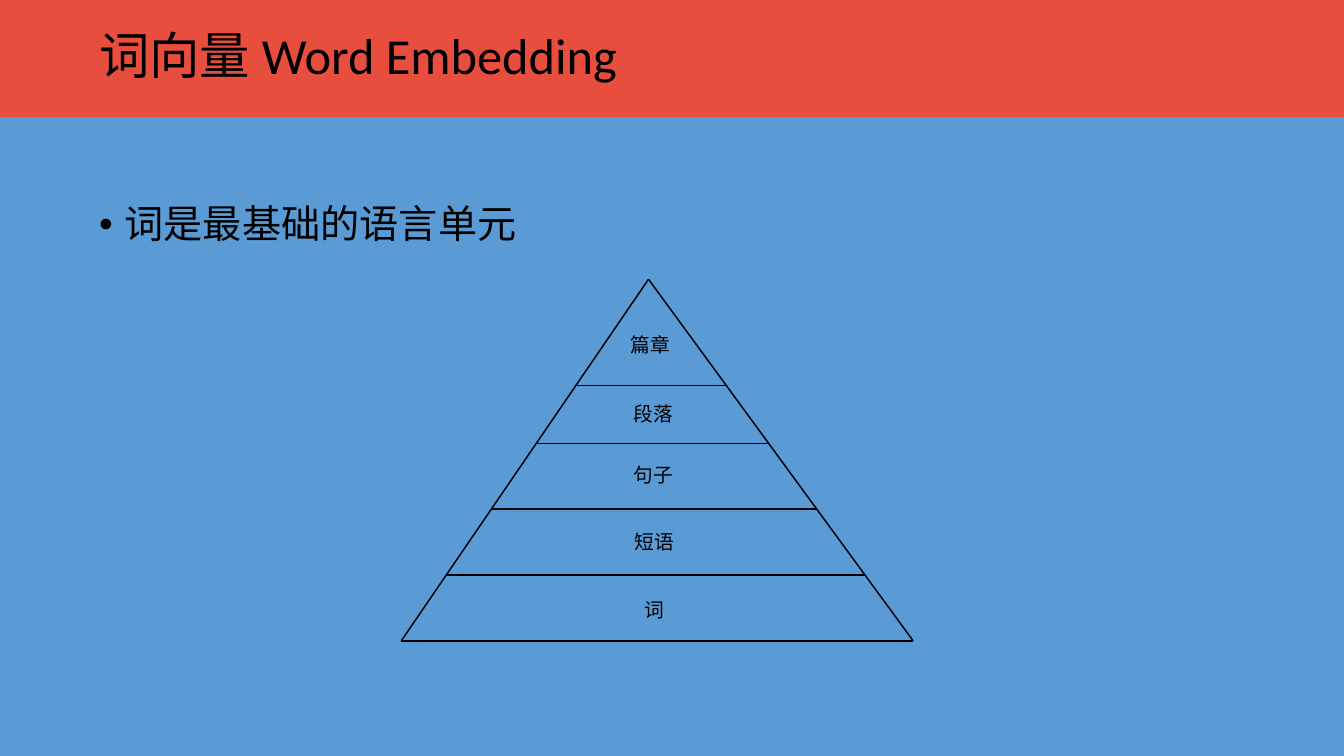
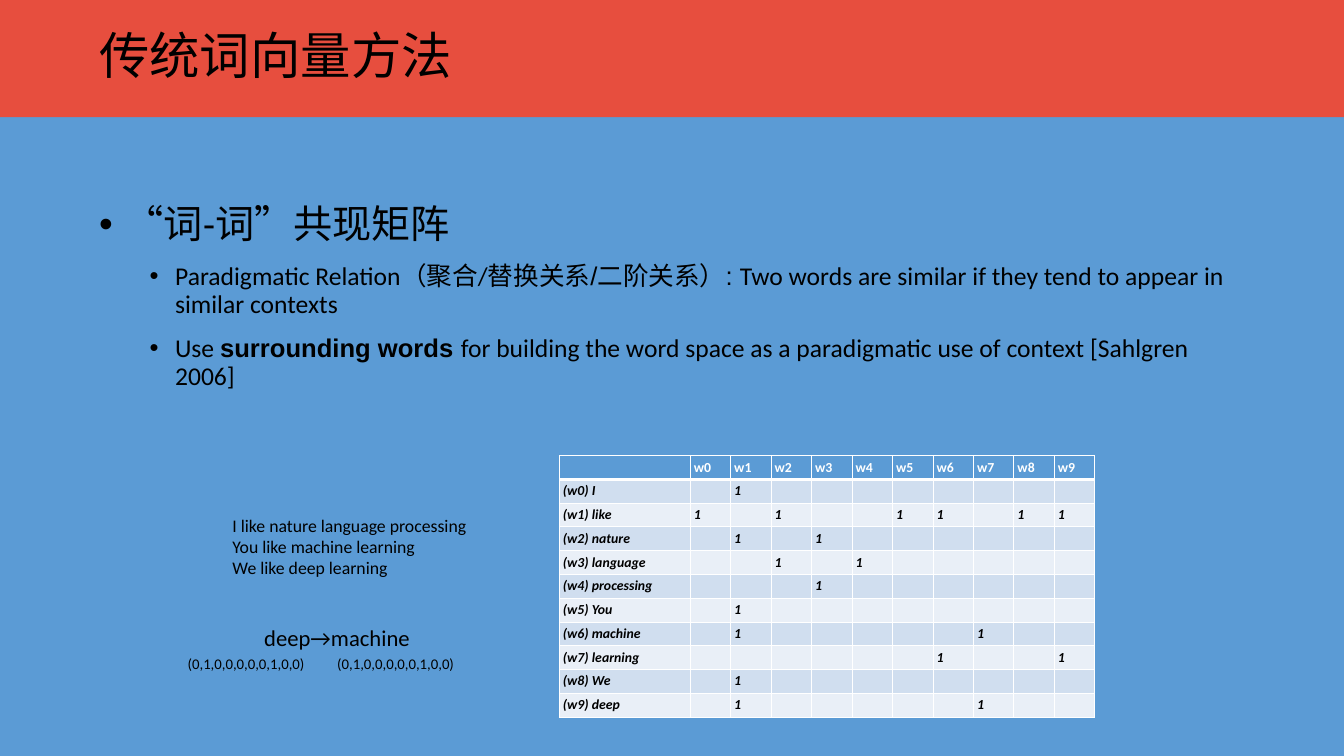
import dataclasses
import typing

import lxml.etree
import pptx
import pptx.dml.color
import pptx.enum.shapes
import pptx.enum.text
import pptx.oxml.ns
import pptx.presentation
import pptx.slide
import pptx.table
import pptx.text.text
import pptx.util

Cm = pptx.util.Cm
Pt = pptx.util.Pt
RGBColor = pptx.dml.color.RGBColor
PP_ALIGN = pptx.enum.text.PP_ALIGN
MSO_ANCHOR = pptx.enum.text.MSO_ANCHOR
MSO_AUTO_SIZE = pptx.enum.text.MSO_AUTO_SIZE
qn = pptx.oxml.ns.qn

BLUE = RGBColor(0x5B, 0x9B, 0xD5)
RED = RGBColor(0xE7, 0x4E, 0x3E)
BLACK = RGBColor(0, 0, 0)
WHITE = RGBColor(0xFF, 0xFF, 0xFF)
BAND_DARK = RGBColor(0xD0, 0xDE, 0xEF)
BAND_LIGHT = RGBColor(0xE9, 0xEF, 0xF7)

SLIDE_W, SLIDE_H = 48.16, 27.1
BAND_H = 4.2
TITLE_BOX = (3.3, 0.36, 41.55, 3.48)
BODY_BOX = (3.3, 7.21, 41.55, 17.2)

Format = dict[str, typing.Any]
BASE: Format = {"name": "Calibri", "color": BLACK, "bold": False}
TITLE = BASE | {"size": Pt(51.2)}
BULLET = BASE | {"size": Pt(39.8)}
SUB_BULLET = BASE | {"size": Pt(26)}
TIER_LABEL = BASE | {"size": Pt(20)}
CELL = BASE | {"size": Pt(14), "bold": True, "italic": True}
HEADER_CELL = CELL | {"color": WHITE, "italic": False}
CELL_MARGINS = {"left": 0.13, "top": 0.12, "right": 0.13, "bottom": 0.13}


@dataclasses.dataclass(frozen=True)
class Run:
    text: str
    changes: Format = dataclasses.field(default_factory=dict)


@dataclasses.dataclass(frozen=True)
class Bullet:
    runs: list[Run]
    level: int = 0


@dataclasses.dataclass(frozen=True)
class Tier:
    """One layer of the pyramid: its lower edge and the centre of its label."""
    label: str
    base: float
    x: float
    y: float


@dataclasses.dataclass(frozen=True)
class Caption:
    lines: list[str]
    box: tuple[float, float, float, float]
    size: float
    inset: float = 0.15
    centred: bool = True


APEX = (23.24, 10.01)
BASE_LEFT, BASE_RIGHT = 14.38, 32.72
TIERS = [
    Tier("篇章", 13.82, 23.3, 12.34),
    Tier("段落", 15.9, 23.42, 14.83),
    Tier("句子", 18.24, 23.42, 17.02),
    Tier("短语", 20.61, 23.45, 19.41),
    Tier("词", 22.97, 23.44, 21.87),
]

SENTENCES = [
    "I like nature language processing",
    "You like machine learning",
    "We like deep learning",
]
VECTOR = "(0,1,0,0,0,0,0,1,0,0)"
CAPTIONS = [
    Caption(SENTENCES, (8.2, 18.32, 10.26, 2.57), 18, 0.13, centred=False),
    Caption(["deep→machine"], (9.3, 22.2, 5.56, 1.27), 23),
    Caption([VECTOR], (6.56, 23.34, 4.52, 0.91), 15),
    Caption([VECTOR], (11.92, 23.34, 4.52, 0.91), 15),
]

ARIAL: Format = {"name": "Arial"}
MATRIX_BULLETS = [
    Bullet([Run("“词-词”共现矩阵")]),
    Bullet([
        Run("Paradigmatic Relation"),
        Run("（聚合", ARIAL),
        Run("/"),
        Run("替换关系/二阶关系）: ", ARIAL),
        Run("Two words are similar if they tend to appear in similar contexts"),
    ], level=1),
    Bullet([
        Run("Use "),
        Run("surrounding words ", ARIAL | {"bold": True}),
        Run("for building the word space as a paradigmatic use of context "
            "[Sahlgren 2006]"),
    ], level=1),
]


def add_run(p: pptx.text.text._Paragraph, text: str, fmt: Format) -> None:
    r = p.add_run()
    r.text = text
    for key, value in fmt.items():
        if key == "color":
            r.font.color.rgb = value
        else:
            setattr(r.font, key, value)


def place(sp: typing.Any, box: tuple[float, float, float, float]) -> None:
    for key, value in zip(("left", "top", "width", "height"), box):
        setattr(sp, key, Cm(value))


def trim_template(prs: pptx.presentation.Presentation,
                  layout: pptx.slide.SlideLayout) -> None:
    """Keep one layout, and only the title and body placeholders."""
    for other in list(prs.slide_layouts):
        if other.name != layout.name:
            prs.slide_layouts.remove(other)
    for holder in (prs.slide_master, layout):
        for ph in list(holder.placeholders)[2:]:
            holder.shapes.element.remove(ph.element)


def style_master(prs: pptx.presentation.Presentation,
                 slide: pptx.slide.Slide) -> None:
    """Set background and placeholder areas, and move a title band to the master."""
    master = prs.slide_master
    master.background.fill.solid()
    master.background.fill.fore_color.rgb = BLUE
    for ph, box in zip(master.placeholders, (TITLE_BOX, BODY_BOX)):
        place(ph, box)
    band = slide.shapes.add_shape(pptx.enum.shapes.MSO_SHAPE.RECTANGLE,
                                  0, 0, Cm(SLIDE_W), Cm(BAND_H))
    band.shadow.inherit = False
    band.fill.solid()
    band.fill.fore_color.rgb = RED
    band.line.fill.background()
    band.element.find(".//" + qn("p:cNvPr")).set("id", "100")
    master.shapes.element.insert(2, band.element)


def set_bullet(p: pptx.text.text._Paragraph, level: int) -> None:
    p.level = level
    pPr = p._p.get_or_add_pPr()
    pPr.set("marL", str(Cm((0.91, 2.72)[level])))
    pPr.set("indent", str(Cm(-0.91)))
    lxml.etree.SubElement(pPr, qn("a:buFont"), typeface="Arial")
    lxml.etree.SubElement(pPr, qn("a:buChar"), char="•")


def fill_placeholders(slide: pptx.slide.Slide, title: str,
                      bullets: list[Bullet]) -> None:
    tf = slide.shapes.title.text_frame
    tf.auto_size = MSO_AUTO_SIZE.NONE
    tf.vertical_anchor = MSO_ANCHOR.MIDDLE
    p = tf.paragraphs[0]
    p.alignment = PP_ALIGN.LEFT
    p.line_spacing = 0.9
    add_run(p, title, TITLE)

    tf = slide.placeholders[1].text_frame
    tf.auto_size = MSO_AUTO_SIZE.NONE
    for i, bullet in enumerate(bullets):
        p = tf.add_paragraph() if i else tf.paragraphs[0]
        set_bullet(p, bullet.level)
        p.line_spacing = 0.9
        p.space_before = Pt(17 if i else 0)
        for run in bullet.runs:
            fmt = SUB_BULLET if bullet.level else BULLET
            add_run(p, run.text, fmt | run.changes)


def add_line(slide: pptx.slide.Slide, start: tuple[float, float],
             end: tuple[float, float]) -> None:
    line = slide.shapes.add_connector(
        pptx.enum.shapes.MSO_CONNECTOR.STRAIGHT,
        *(Cm(v) for v in start + end))
    line.line.color.rgb = BLACK
    line.line.width = Pt(1.5)
    lxml.etree.SubElement(line.element.spPr, qn("a:effectLst"))


def add_text_box(slide: pptx.slide.Slide,
                 box: tuple[float, float, float, float], lines: list[str],
                 fmt: Format, centred: bool = True,
                 inset: float | None = None) -> None:
    tf = slide.shapes.add_textbox(*(Cm(v) for v in box)).text_frame
    tf.word_wrap = not centred
    tf.auto_size = MSO_AUTO_SIZE.SHAPE_TO_FIT_TEXT
    tf.vertical_anchor = MSO_ANCHOR.MIDDLE if centred else MSO_ANCHOR.TOP
    if inset is not None:
        for side in CELL_MARGINS:
            setattr(tf, f"margin_{side}", Cm(inset))
    for i, line in enumerate(lines):
        p = tf.add_paragraph() if i else tf.paragraphs[0]
        p.alignment = PP_ALIGN.CENTER if centred else PP_ALIGN.LEFT
        add_run(p, line, fmt)


def add_pyramid(slide: pptx.slide.Slide) -> None:
    bottom = TIERS[-1].base
    for x in (BASE_LEFT, BASE_RIGHT):
        add_line(slide, APEX, (x, bottom))
    w, h = 1.93, 1.12
    for tier in TIERS:
        t = (tier.base - APEX[1]) / (bottom - APEX[1])
        left, right = (APEX[0] + t * (x - APEX[0])
                       for x in (BASE_LEFT, BASE_RIGHT))
        add_line(slide, (left, tier.base), (right, tier.base))
        add_text_box(slide, (tier.x - w / 2, tier.y - h / 2, w, h),
                     [tier.label], TIER_LABEL)


def cooccurrence_rows() -> list[list[str]]:
    """Mark each pair of words that stand side by side in a sentence."""
    sentences = [s.split() for s in SENTENCES]
    words = list(dict.fromkeys(w for s in sentences for w in s))
    pairs = {pair for s in sentences for pair in zip(s, s[1:])}
    rows = [[""] + [f"w{i}" for i in range(len(words))]]
    for i, word in enumerate(words):
        marks = ["1" if {(word, other), (other, word)} & pairs else ""
                 for other in words]
        rows.append([f"(w{i}) {word}"] + marks)
    return rows


def set_borders(cell: pptx.table._Cell, widths: dict[str, float]) -> None:
    tcPr = cell._tc.get_or_add_tcPr()
    for side, width in widths.items():
        ln = lxml.etree.SubElement(tcPr, qn(f"a:ln{side}"), w=str(Pt(width)))
        fill = lxml.etree.SubElement(ln, qn("a:solidFill"))
        lxml.etree.SubElement(fill, qn("a:srgbClr"), val=str(WHITE))


def add_matrix(slide: pptx.slide.Slide) -> None:
    rows = cooccurrence_rows()
    col_widths = [4.69] + [1.45] * (len(rows[0]) - 1)
    row_h = 0.85
    table = slide.shapes.add_table(
        len(rows), len(col_widths), Cm(20.04), Cm(16.33),
        Cm(sum(col_widths)), Cm(row_h * len(rows))).table
    for col, width in zip(table.columns, col_widths):
        col.width = Cm(width)
    for i, row in enumerate(rows):
        table.rows[i].height = Cm(row_h)
        for j, text in enumerate(row):
            cell = table.cell(i, j)
            set_borders(cell, {"L": 1, "R": 1, "T": 3 if i == 1 else 1,
                               "B": 1 if i else 3})
            cell.fill.solid()
            cell.fill.fore_color.rgb = (
                (BAND_LIGHT, BAND_DARK)[i % 2] if i else BLUE)
            for side, margin in CELL_MARGINS.items():
                setattr(cell, f"margin_{side}", Cm(margin))
            p = cell.text_frame.paragraphs[0]
            if text:
                add_run(p, text, CELL if i else HEADER_CELL)
            else:
                lxml.etree.SubElement(p._p, qn("a:endParaRPr"), sz="1400")


def main() -> None:
    prs = pptx.Presentation()
    prs.slide_width, prs.slide_height = Cm(SLIDE_W), Cm(SLIDE_H)
    layout = prs.slide_layouts[1]
    trim_template(prs, layout)

    slide = prs.slides.add_slide(layout)
    style_master(prs, slide)
    fill_placeholders(slide, "词向量 Word Embedding",
                      [Bullet([Run("词是最基础的语言单元")])])
    add_pyramid(slide)

    slide = prs.slides.add_slide(layout)
    fill_placeholders(slide, "传统词向量方法", MATRIX_BULLETS)
    add_matrix(slide)
    for caption in CAPTIONS:
        add_text_box(slide, caption.box, caption.lines,
                     BASE | {"size": Pt(caption.size)},
                     caption.centred, caption.inset)

    prs.save("out.pptx")


if __name__ == "__main__":
    main()
